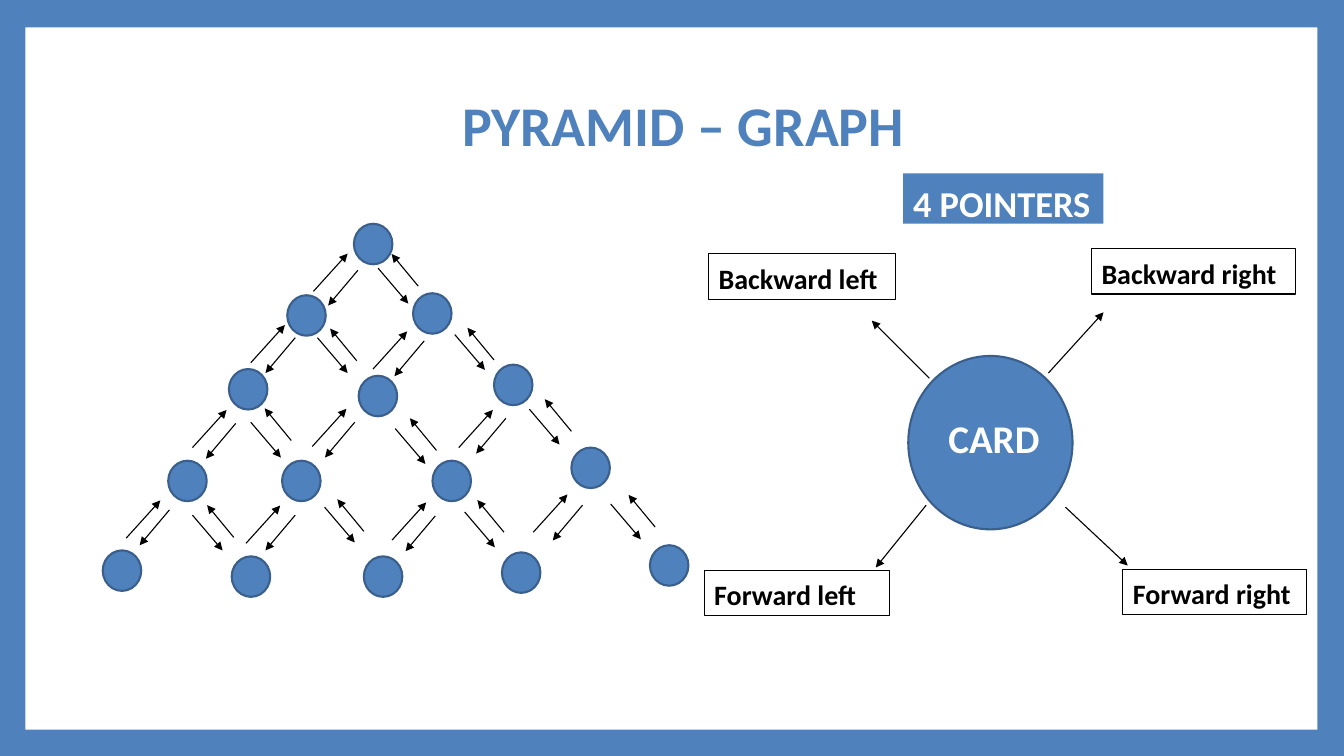
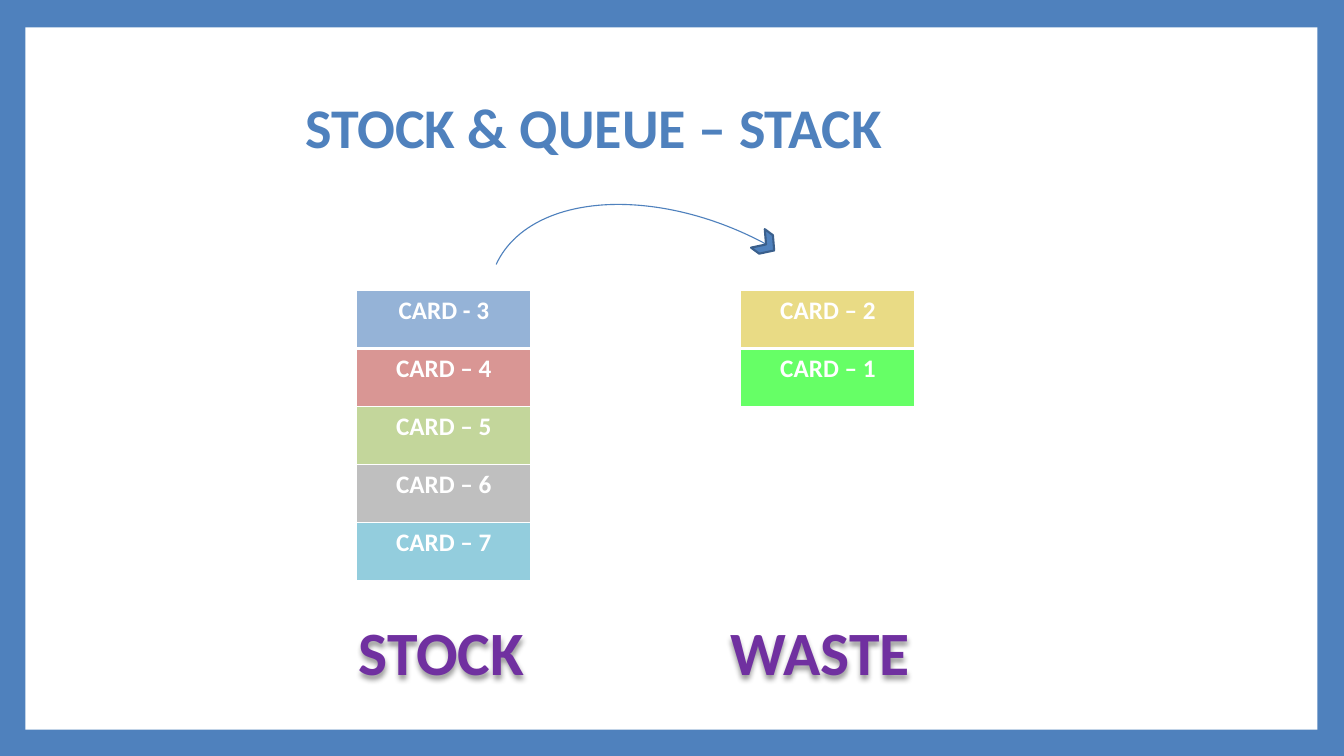
from lxml import etree
from pptx import Presentation
from pptx.dml import color
from pptx.enum import shapes, text
from pptx.oxml import ns
from pptx.util import Cm, Pt

FONT = "Calibri"
COLORS = {
    "blue": "4F81BD", "outline": "3A5F8C", "white": "FFFFFF", "black": "000000",
    "purple": "7030A0", "sky": "95B3D7", "rose": "D99694", "olive": "C3D69B",
    "grey": "BFBFBF", "aqua": "93CDDD", "sand": "E9DB85", "green": "66FF66",
}
PRESET = shapes.MSO_SHAPE
ALIGN = text.PP_ALIGN

NODE_SIZE = (0.97, 1.02)
PYRAMID_ROWS = [
    [(8.92, 5.64)],
    [(7.24, 7.44), (10.41, 7.39)],
    [(5.77, 9.3), (9.04, 9.47), (12.45, 9.19)],
    [(4.24, 11.61), (7.11, 11.61), (10.9, 11.61), (14.4, 11.28)],
    [(2.59, 13.87), (5.84, 14.02), (9.17, 14.02), (12.65, 13.92), (16.38, 13.74)],
]
LINK_STARTS = {
    (0.86, -0.95): [
        (7.9, 7.34), (6.32, 9.14), (4.85, 11.28), (3.18, 13.56), (9.4, 9.3),
        (7.87, 11.25), (6.2, 13.69), (9.88, 13.61), (11.56, 11.28), (13.44, 13.41)],
    (-0.75, 0.89): [
        (9.02, 6.81), (7.44, 8.51), (5.94, 10.67), (4.27, 12.85), (7.44, 12.98),
        (8.94, 10.64), (10.69, 8.59), (12.75, 10.54), (10.97, 13), (14.68, 12.73)],
    (0.76, 0.89): [
        (9.53, 6.76), (11.46, 8.43), (13.34, 10.31), (15.39, 12.7), (8, 8.51),
        (11.71, 12.9), (8.18, 12.78), (4.85, 12.98), (6.32, 10.64), (9.96, 10.8)],
    (-0.67, -0.81): [
        (11, 11.35), (12.7, 13.41), (16.51, 13.28), (14.4, 10.87), (12.45, 9.07),
        (10.54, 7.21), (8.99, 9.09), (7.34, 11.1), (9.17, 13.39), (5.89, 13.54)],
}
POINTERS = [
    ("Backward left", (17.86, 6.4, 4.72, 1.14), (23.42, 9.53), (21.97, 8.08)),
    ("Backward right", (27.51, 6.27, 5.13, 1.14), (26.42, 9.4), (27.81, 7.87)),
    ("Forward left", (17.75, 14.38, 4.67, 1.14), (23.34, 12.73), (22.07, 14.3)),
    ("Forward right", (28.3, 14.35, 4.62, 1.14), (26.85, 12.78), (28.42, 14.25)),
]
PILES = [
    ("STOCK", 8.99, 8.79, [
        ("CARD - 3", "sky"), ("CARD – 4", "rose"), ("CARD – 5", "olive"),
        ("CARD – 6", "grey"), ("CARD – 7", "aqua")]),
    ("WASTE", 18.67, 18.16, [("CARD – 2", "sand"), ("CARD – 1", "green")]),
]


def rgb(name):
    return color.RGBColor.from_string(COLORS[name])


def lengths(values):
    return [Cm(value) for value in values]


def add_xml(parent, tag, **attributes):
    return etree.SubElement(parent, ns.qn(tag), attributes)


def format_text(frame, size, name, align=ALIGN.LEFT):
    for para in frame.paragraphs:
        para.alignment = align
        for span in para.runs:
            span.font.name = FONT
            span.font.size = Pt(size)
            span.font.bold = True
            span.font.color.rgb = rgb(name)


def add_preset(page, kind, area, fill=None, line=None, width=1.5):
    shape = page.shapes.add_shape(kind, *lengths(area))
    shape.shadow.inherit = False
    if fill:
        shape.fill.solid()
        shape.fill.fore_color.rgb = rgb(fill)
    else:
        shape.fill.background()
    if line:
        shape.line.color.rgb = rgb(line)
        shape.line.width = Pt(width)
    else:
        shape.line.fill.background()
    return shape


def add_label(page, words, area, size, fill, ink, line=None):
    box = add_preset(page, PRESET.RECTANGLE, area, fill, line, 0.75)
    frame = box.text_frame
    frame.text = words
    frame.word_wrap = True
    frame.vertical_anchor = text.MSO_ANCHOR.TOP
    frame.paragraphs[0].line_spacing = 1.07
    frame.paragraphs[0].space_after = Pt(8)
    format_text(frame, size, ink)


def add_circle(page, area):
    add_preset(page, PRESET.OVAL, area, "blue", "outline")


def add_arrow(page, start, end):
    arrow = page.shapes.add_connector(
        shapes.MSO_CONNECTOR.STRAIGHT, *lengths(start + end))
    arrow.line.color.rgb = rgb("black")
    arrow.line.width = Pt(0.79)
    add_xml(arrow.line._get_or_add_ln(), "a:tailEnd", type="triangle")
    add_xml(arrow._element.spPr, "a:effectLst")


def add_caption(page, words, left):
    box = page.shapes.add_textbox(*lengths((left, 14.63, 5.64, 3.76)))
    frame = box.text_frame
    frame.text = words
    frame.word_wrap = True
    frame.vertical_anchor = text.MSO_ANCHOR.MIDDLE
    frame.paragraphs[0].line_spacing = 0.9
    format_text(frame, 44, "purple")
    effects = add_xml(box._element.spPr, "a:effectLst")
    shadow = add_xml(effects, "a:outerShdw", blurRad="50800", dist="38100",
                     dir="5400000", algn="t", rotWithShape="0")
    shade = add_xml(shadow, "a:srgbClr", val=COLORS["black"])
    add_xml(shade, "a:alpha", val="40000")


def set_borders(cell, top, bottom):
    properties = cell._tc.get_or_add_tcPr()
    for side, width in (("L", 1), ("R", 1), ("T", top), ("B", bottom)):
        line = add_xml(properties, f"a:ln{side}", w=str(Pt(width)))
        fill = add_xml(line, "a:solidFill")
        add_xml(fill, "a:srgbClr", val=COLORS["white"])


def add_pile(page, left, cards):
    row_height = 1.46
    area = (left, 7.32, 4.39, row_height * len(cards))
    table = page.shapes.add_table(len(cards), 1, *lengths(area)).table
    table.first_row = False
    table.horz_banding = False
    for index, (words, fill) in enumerate(cards):
        table.rows[index].height = Cm(row_height)
        cell = table.cell(index, 0)
        set_borders(cell, 3 if index == 1 else 1, 3 if index == 0 else 1)
        cell.fill.solid()
        cell.fill.fore_color.rgb = rgb(fill)
        cell.text_frame.text = words
        format_text(cell.text_frame, 18, "white", ALIGN.CENTER)


def add_page(deck, heading, area, align):
    page = deck.slides.add_slide(deck.slide_layouts[5])
    title = page.shapes.title
    title.left, title.top, title.width, title.height = lengths(area)
    frame = title.text_frame
    frame.text = heading
    frame.word_wrap = True
    frame.auto_size = text.MSO_AUTO_SIZE.NONE
    format_text(frame, 40, "blue", align)
    return page


def frame_master(deck, page):
    master = deck.slide_master
    master.background.fill.solid()
    master.background.fill.fore_color.rgb = rgb("blue")
    panel = add_preset(page, PRESET.RECTANGLE, (0.64, 0.69, 32.56, 17.7), "white")
    master.shapes._spTree.insert(2, panel._element)


def draw_pyramid(page):
    for row in PYRAMID_ROWS:
        for corner in row:
            add_circle(page, corner + NODE_SIZE)
    for (across, down), starts in LINK_STARTS.items():
        for x, y in starts:
            add_arrow(page, (x, y), (x + across, y + down))


def draw_card(page):
    add_circle(page, (22.89, 8.97, 4.14, 4.37))
    for words, area, start, end in POINTERS:
        add_arrow(page, start, end)
        add_label(page, words, area, 20, "white", "black", "black")
    add_label(page, "CARD", (23.65, 10.24, 3.02, 1.55), 28, "blue", "white")
    add_label(page, "4 POINTERS", (22.76, 4.37, 5.05, 1.27), 26, "blue", "white")


def draw_move(page):
    arc = add_preset(page, PRESET.ARC, (14.1, 3.51, 6.63, 10.8), line="blue", width=0.79)
    arc.adjustments[0] = 162
    arc.adjustments[1] = 5.712
    arc.rotation = 294.6
    head = add_preset(page, PRESET.CHEVRON, (19.05, 5.87, 0.51, 0.58), "blue", "outline")
    head.rotation = 36.6


def main():
    deck = Presentation()
    deck.slide_width, deck.slide_height = lengths((33.87, 19.05))

    graph = add_page(deck, "PYRAMID – GRAPH", (5.72, 2.16, 22.99, 1.96), ALIGN.CENTER)
    frame_master(deck, graph)
    draw_pyramid(graph)
    draw_card(graph)

    stack = add_page(deck, "STOCK & QUEUE – STACK", (7.44, 2.21, 16.84, 1.96), ALIGN.LEFT)
    for caption, pile_left, caption_left, cards in PILES:
        add_pile(stack, pile_left, cards)
        add_caption(stack, caption, caption_left)
    draw_move(stack)

    deck.save("out.pptx")


if __name__ == "__main__":
    main()
